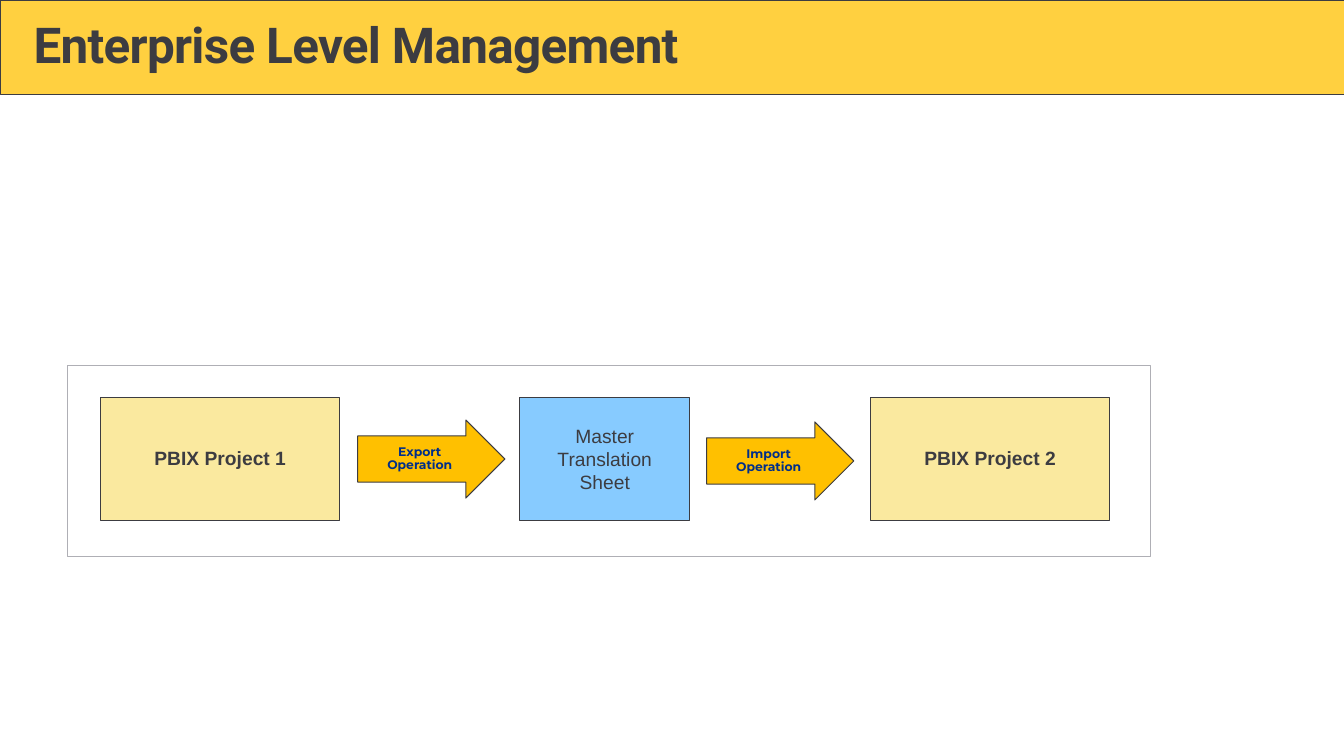
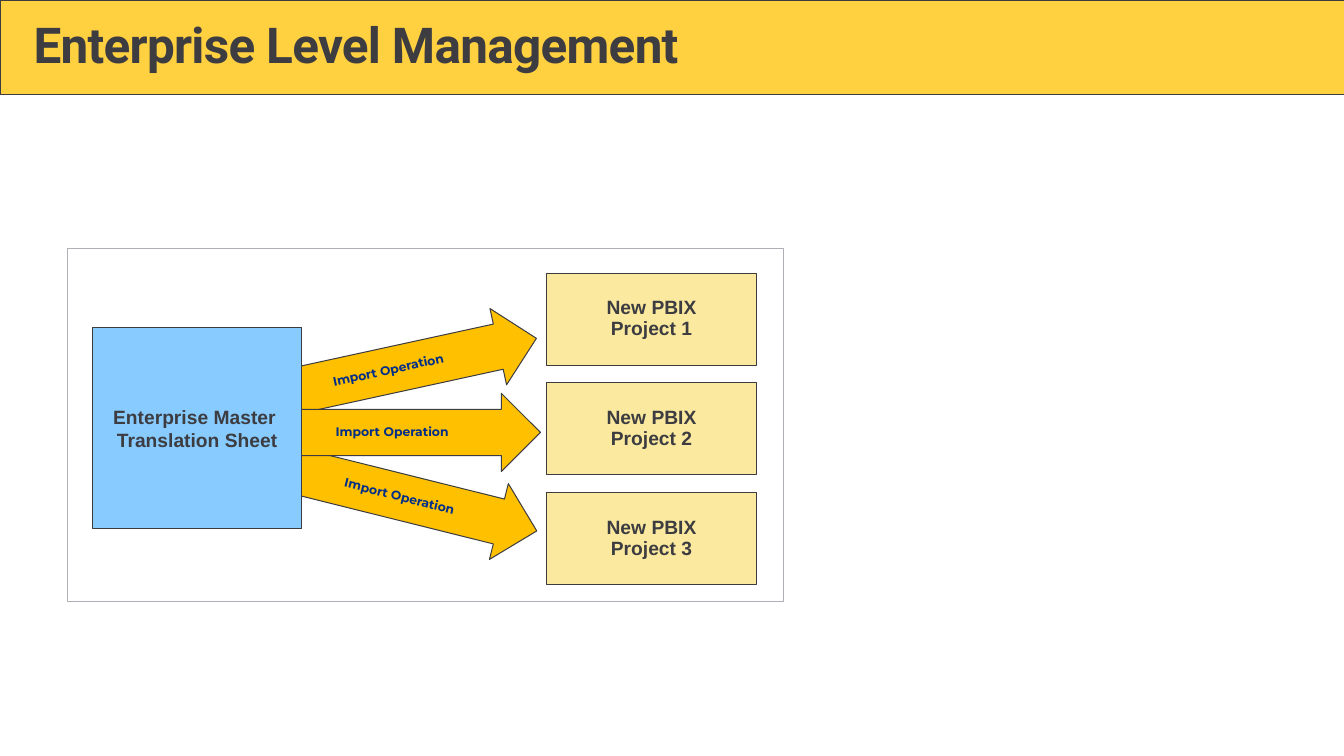
"""Build two slides on enterprise level translation management."""
from pptx import Presentation
from pptx.dml.color import RGBColor
from pptx.enum.shapes import MSO_SHAPE as Preset
from pptx.enum.text import MSO_ANCHOR as Anchor, PP_ALIGN as Align
from pptx.util import Pt

COLORS = {
    "band": "FFD040",
    "ink": "3C3C41",
    "frame": "AFAFB5",
    "project": "FAE99F",
    "sheet": "87CBFF",
    "arrow": "FFC000",
    "arrow_text": "002E89",
}
TITLE = "Enterprise Level Management"
SLIDE_WIDTH, SLIDE_HEIGHT = 979.2, 550.8
ARROW_HEIGHT = 56.9


def add_block(slide, preset, box, fill=None, line="ink", line_width=0.75):
    shape = slide.shapes.add_shape(preset, *(Pt(value) for value in box))
    shape.shadow.inherit = False
    if fill:
        shape.fill.solid()
        shape.fill.fore_color.rgb = RGBColor.from_string(COLORS[fill])
    else:
        shape.fill.background()
    shape.line.color.rgb = RGBColor.from_string(COLORS[line])
    shape.line.width = Pt(line_width)
    return shape


def add_text(shape, lines, font, size, color="ink", bold=True, spacing=0.9,
             align=Align.CENTER, anchor=Anchor.MIDDLE, insets=(14.4, 11.5)):
    frame = shape.text_frame
    frame.word_wrap = True
    frame.vertical_anchor = anchor
    frame.margin_left = frame.margin_right = Pt(insets[0])
    frame.margin_top = frame.margin_bottom = Pt(insets[1])
    for index, text in enumerate(lines):
        paragraph = frame.add_paragraph() if index else frame.paragraphs[0]
        paragraph.alignment = align
        paragraph.line_spacing = spacing
        run = paragraph.add_run()
        run.text = text
        run.font.name = font
        run.font.size = Pt(size)
        run.font.bold = bold
        run.font.color.rgb = RGBColor.from_string(COLORS[color])


project_left, project_top, project_step = 398.4, 199, 79.9
slides = [
    {
        "frame": (49, 266.4, 789.1, 139),
        "projects": [
            ((left, 289.4, 174.2, 90), [f"PBIX Project {number}"])
            for number, left in enumerate((73.4, 634.3), 1)
        ],
        "arrows": [
            (260.6, 306, 107.3, 0, "Export Operation"),
            (514.8, 307.4, 107.3, 0, "Import Operation"),
        ],
        "sheet": ((378.7, 289.4, 123.8, 90), ["Master", "Translation", "Sheet"], False),
    },
    {
        "frame": (49, 180.7, 522, 257.8),
        "projects": [
            ((project_left, project_top + index * project_step, 152.6, 67),
             ["New PBIX", f"Project {index + 1}"])
            for index in range(3)
        ],
        "arrows": [
            (204.5, 335.5, 189.4, 14, "Import Operation"),
            (189.4, 239.8, 203.8, 347.7, "Import Operation"),
            (194.4, 286.6, 199.4, 0, "Import Operation"),
        ],
        "sheet": ((67.7, 238.3, 151.9, 146.9),
                  ["Enterprise Master ", "Translation Sheet"], True),
    },
]

presentation = Presentation()
presentation.slide_width = Pt(SLIDE_WIDTH)
presentation.slide_height = Pt(SLIDE_HEIGHT)

for content in slides:
    slide = presentation.slides.add_slide(presentation.slide_layouts[6])
    add_block(slide, Preset.RECTANGLE, (0, 0, SLIDE_WIDTH, 69.1), "band", line_width=0.5)
    title = slide.shapes.add_textbox(Pt(24.5), Pt(15.1), Pt(929.5), Pt(39.6))
    add_text(title, [TITLE], "Roboto", 36, align=Align.LEFT, anchor=Anchor.TOP, insets=(0, 0))
    title.text_frame.paragraphs[0].runs[0]._r.get_or_add_rPr().set("spc", "-50")

    add_block(slide, Preset.RECTANGLE, content["frame"], line="frame")

    for box, lines in content["projects"]:
        project = add_block(slide, Preset.RECTANGLE, box, "project")
        add_text(project, lines, "Arial", 14)

    for left, top, width, rotation, label in content["arrows"]:
        arrow = add_block(slide, Preset.RIGHT_ARROW, (left, top, width, ARROW_HEIGHT), "arrow")
        arrow.adjustments[0] = 0.592
        arrow.adjustments[1] = 0.5
        arrow.rotation = rotation
        add_text(arrow, [label], "Montserrat", 9, "arrow_text")

    box, lines, bold = content["sheet"]
    sheet = add_block(slide, Preset.RECTANGLE, box, "sheet")
    add_text(sheet, lines, "Arial", 14, bold=bold, spacing=1.0)

presentation.save("out.pptx")
